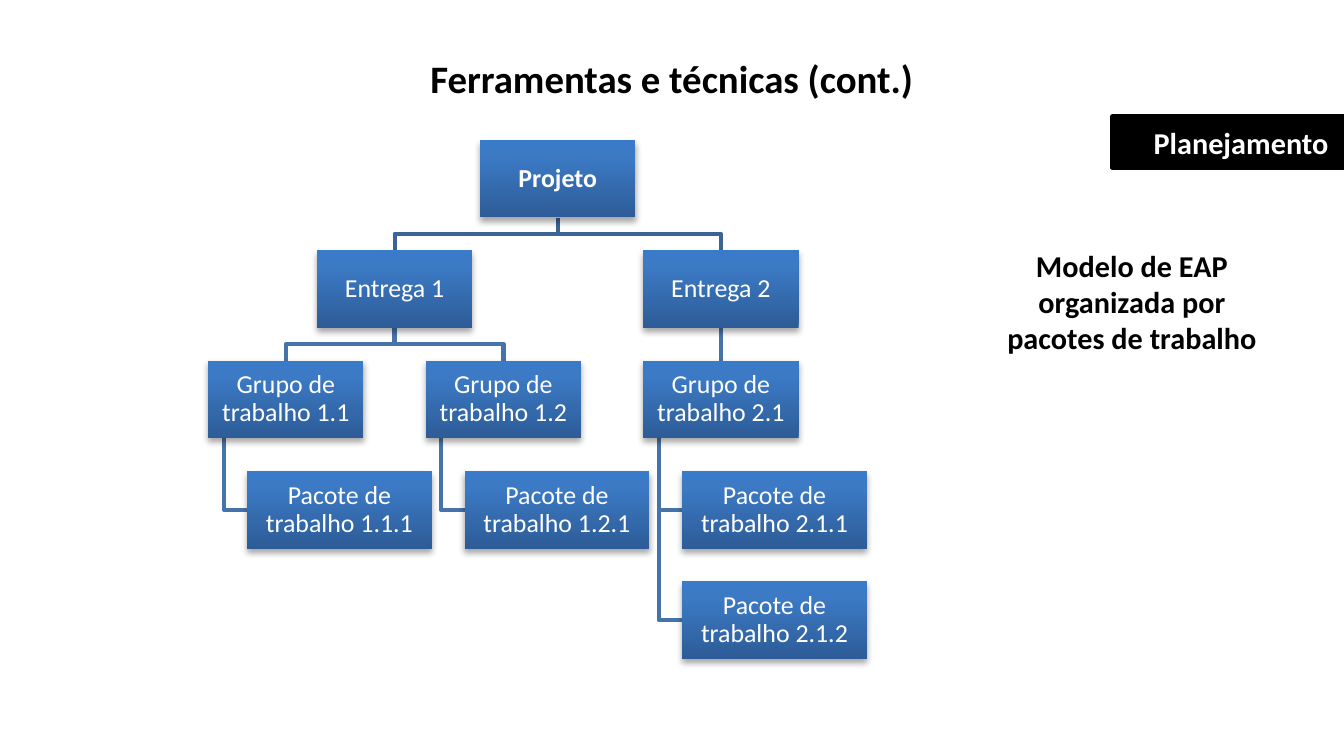
import dataclasses

import pptx
import pptx.dml.color
import pptx.enum.shapes
import pptx.enum.text
import pptx.oxml
import pptx.oxml.ns
import pptx.util

ALIGN = pptx.enum.text.PP_ALIGN
ANCHOR = pptx.enum.text.MSO_ANCHOR
RECTANGLE = pptx.enum.shapes.MSO_SHAPE.RECTANGLE
STRAIGHT = pptx.enum.shapes.MSO_CONNECTOR.STRAIGHT


@dataclasses.dataclass
class Theme:
    font: str = "Calibri"
    title_size: float = 18
    label_size: float = 14
    node_size: float = 12
    line_width: float = 2
    black: str = "000000"
    white: str = "FFFFFF"
    root_line: str = "3B6495"
    branch_line: str = "4674AA"
    gradient: tuple = ((0, "2D5C97"), (0.8, "3C7AC5"), (1, "397BC9"))


@dataclasses.dataclass
class Box:
    left: float
    top: float
    width: float
    height: float

    @property
    def center(self):
        return self.left + self.width / 2

    @property
    def middle(self):
        return self.top + self.height / 2

    @property
    def bottom(self):
        return self.top + self.height

    def lengths(self):
        return [pptx.util.Inches(value) for value in dataclasses.astuple(self)]


THEME = Theme()
SLIDE = Box(0, 0, 8.65, 4.69)

# Tree grid: steps between columns and rows, and node sizes
COLUMN, ROW = 0.7, 0.71
NODE_WIDTH, PACKAGE_WIDTH, NODE_HEIGHT = 1, 1.19, 0.5
PACKAGE_INDENT, STEM_INDENT = 0.25, 0.1

# Each node: text, column, row, children; packages hang below their group
TREE = ("Projeto", 2.5, 0, [
    ("Entrega 1", 1, 1, [
        ("Grupo de trabalho 1.1", 0, 2, ["Pacote de trabalho 1.1.1"]),
        ("Grupo de trabalho 1.2", 2, 2, ["Pacote de trabalho 1.2.1"]),
    ]),
    ("Entrega 2", 4, 1, [
        ("Grupo de trabalho 2.1", 4, 2,
         ["Pacote de trabalho 2.1.1", "Pacote de trabalho 2.1.2"]),
    ]),
])


def rgb(value):
    return pptx.dml.color.RGBColor.from_string(value)


def write(shape, text, size, color, align, bold=False, anchor=ANCHOR.TOP,
          insets=(0.1, 0.05), spacing=None):
    frame = shape.text_frame
    frame.word_wrap = True
    frame.auto_size = pptx.enum.text.MSO_AUTO_SIZE.NONE
    frame.vertical_anchor = anchor
    frame.margin_left = frame.margin_right = pptx.util.Inches(insets[0])
    frame.margin_top = frame.margin_bottom = pptx.util.Inches(insets[1])
    paragraph = frame.paragraphs[0]
    paragraph.alignment = align
    if spacing:
        paragraph.line_spacing = spacing
    run = paragraph.add_run()
    run.text = text
    run.font.name = THEME.font
    run.font.size = pptx.util.Pt(size)
    run.font.bold = bold
    run.font.color.rgb = rgb(color)


def style_line(shape, color):
    shape.line.color.rgb = rgb(color)
    shape.line.width = pptx.util.Pt(THEME.line_width)


def add_effects(shape, content=""):
    namespace = pptx.oxml.ns.nsdecls("a")
    shape.element.spPr.append(pptx.oxml.parse_xml(
        f"<a:effectLst {namespace}>{content}</a:effectLst>"))


def fill_gradient(shape):
    shape.fill.gradient()
    shape.fill.gradient_angle = 90
    stop_list = shape.element.spPr.find(".//" + pptx.oxml.ns.qn("a:gsLst"))
    stop_list.append(pptx.oxml.parse_xml(
        f'<a:gs {pptx.oxml.ns.nsdecls("a")} pos="100000">'
        '<a:srgbClr val="000000"/></a:gs>'))
    for stop, (position, color) in zip(shape.fill.gradient_stops, THEME.gradient):
        stop.position = position
        stop.color.rgb = rgb(color)


def add_node(slide, box, text, bold=False):
    shape = slide.shapes.add_shape(RECTANGLE, *box.lengths())
    fill_gradient(shape)
    shape.line.fill.background()
    add_effects(shape, '<a:outerShdw blurRad="39370" dist="22860" dir="5400000" '
                       'rotWithShape="0"><a:srgbClr val="000000">'
                       '<a:alpha val="35000"/></a:srgbClr></a:outerShdw>')
    write(shape, text, THEME.node_size, THEME.white, ALIGN.CENTER, bold,
          ANCHOR.MIDDLE, (0.01, 0.01), 0.9)
    return shape


def add_elbow(slide, points, color):
    start, *rest = [tuple(pptx.util.Inches(value) for value in point)
                    for point in points]
    builder = slide.shapes.build_freeform(*start)
    builder.add_line_segments(rest, close=False)
    elbow = builder.convert_to_shape()
    elbow.fill.background()
    style_line(elbow, color)
    elbow.shadow.inherit = False
    return elbow


def join_below(slide, parent, parent_box, child, child_box, color):
    """Join the bottom of a node to the top of its child."""
    if parent_box.left == child_box.left:
        connector = slide.shapes.add_connector(STRAIGHT, 0, 0, 0, 0)
        connector.begin_connect(parent, 2)
        connector.end_connect(child, 0)
        style_line(connector, color)
        add_effects(connector)
        return connector
    halfway = (parent_box.bottom + child_box.top) / 2
    return add_elbow(slide, [(parent_box.center, parent_box.bottom),
                             (parent_box.center, halfway),
                             (child_box.center, halfway),
                             (child_box.center, child_box.top)], color)


def add_branch(slide, area, node):
    """Draw a node and everything under it; return its shape, box and lines."""
    text, column, row, children = node
    box = Box(area.left + column * COLUMN, area.top + row * ROW,
              NODE_WIDTH, NODE_HEIGHT)
    shape = add_node(slide, box, text, bold=row == 0)
    color = THEME.branch_line if row else THEME.root_line
    lines = []
    for step, child in enumerate(children, start=1):
        if isinstance(child, str):
            package = Box(box.left + PACKAGE_INDENT, box.top + step * ROW,
                          PACKAGE_WIDTH, NODE_HEIGHT)
            add_node(slide, package, child)
            stem = box.left + STEM_INDENT
            lines.append(add_elbow(slide, [(stem, box.bottom),
                                           (stem, package.middle),
                                           (package.left, package.middle)], color))
        else:
            child_shape, child_box, child_lines = add_branch(slide, area, child)
            lines += child_lines
            lines.append(join_below(slide, shape, box, child_shape, child_box, color))
    return shape, box, lines


def add_tree(slide, area):
    root, _, lines = add_branch(slide, area, TREE)
    # Lines lie behind the nodes
    for line in lines:
        root.element.addprevious(line.element)


def add_title(slide, box):
    title = slide.shapes.title
    title.left, title.top, title.width, title.height = box.lengths()
    write(title, "Ferramentas e técnicas (cont.)", THEME.title_size,
          THEME.black, ALIGN.CENTER, bold=True)


def add_phase_tag(slide, box):
    tag = slide.shapes.add_shape(RECTANGLE, *box.lengths())
    tag.shadow.inherit = False
    tag.fill.solid()
    tag.fill.fore_color.rgb = rgb(THEME.black)
    style_line(tag, THEME.black)
    write(tag, "Planejamento", THEME.label_size, THEME.white, ALIGN.RIGHT,
          bold=True, anchor=ANCHOR.MIDDLE)


def add_caption(slide, box):
    caption = slide.shapes.add_textbox(*box.lengths())
    write(caption, "Modelo de EAP organizada por pacotes de trabalho",
          THEME.label_size, THEME.black, ALIGN.CENTER, bold=True)


def main():
    presentation = pptx.Presentation()
    presentation.slide_width = pptx.util.Inches(SLIDE.width)
    presentation.slide_height = pptx.util.Inches(SLIDE.height)
    slide = presentation.slides.add_slide(presentation.slide_layouts[5])
    add_title(slide, Box(0, 0.3, SLIDE.width, 0.4))
    add_phase_tag(slide, Box(SLIDE.width - 1.49, 0.75, 1.49, 0.33))
    add_tree(slide, Box(1.34, 0.9, 4.24, 3.34))
    add_caption(slide, Box(6.34, 1.54, 1.89, 0.81))
    presentation.save("out.pptx")


if __name__ == "__main__":
    main()
